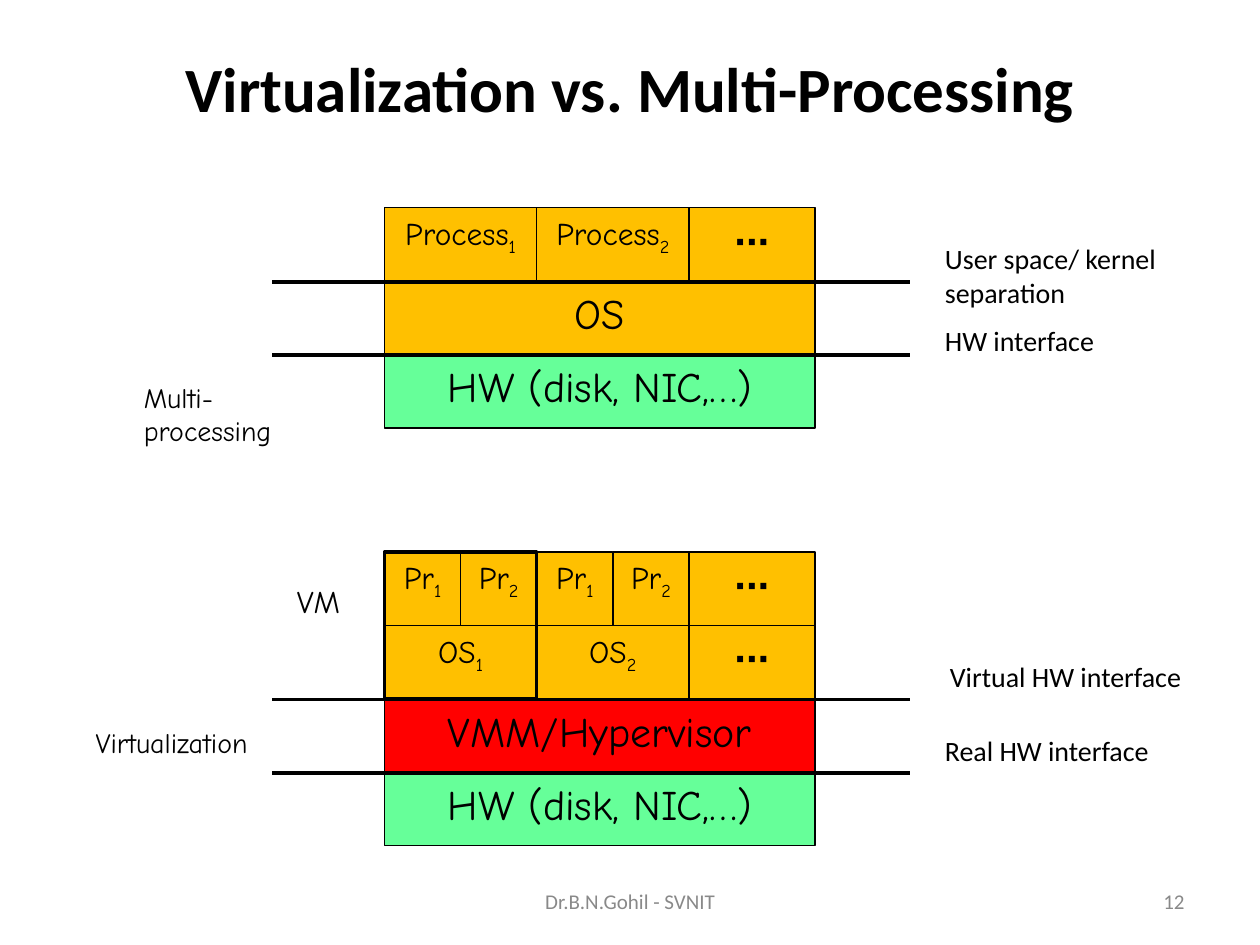
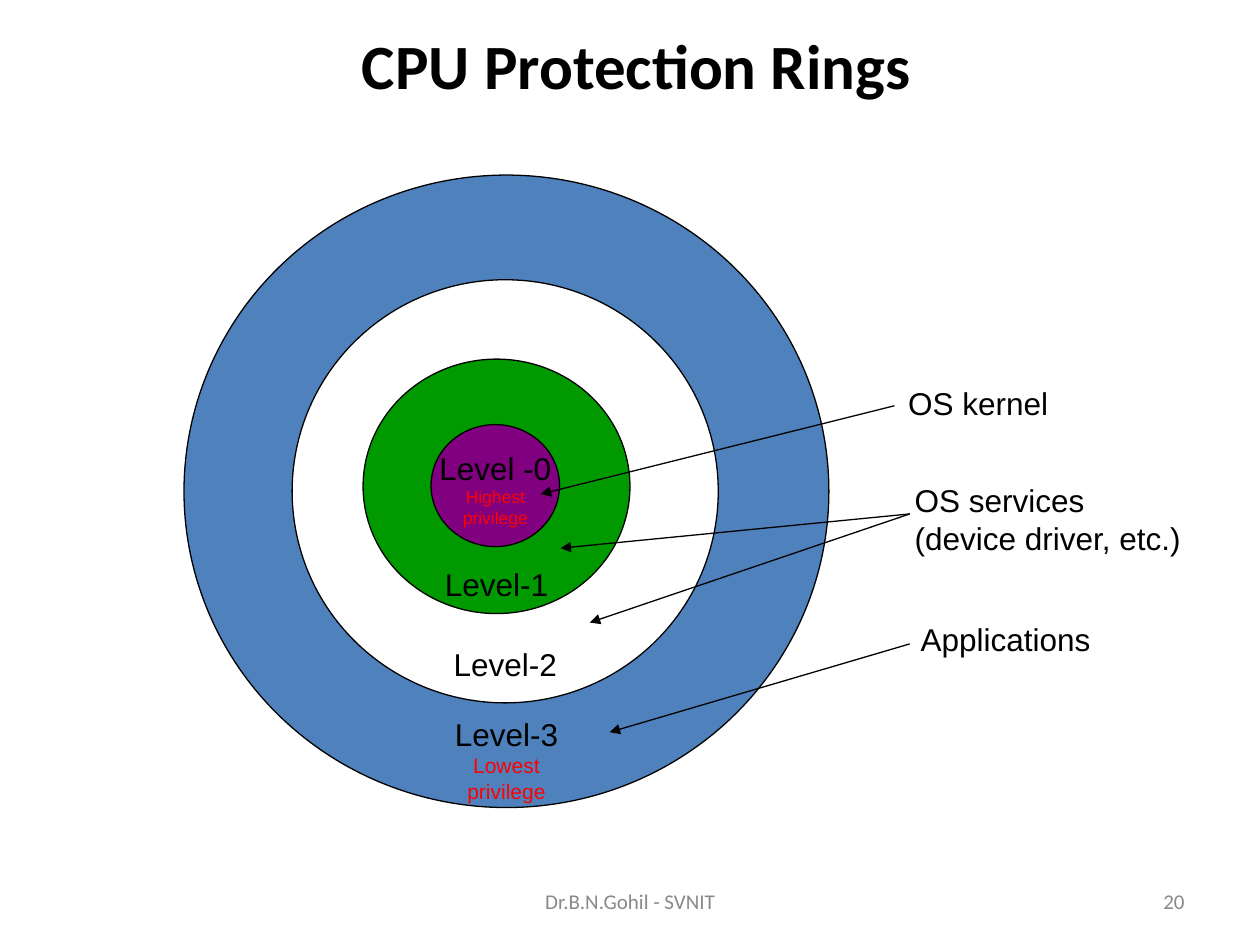
from dataclasses import dataclass

from lxml import etree
from pptx import Presentation
from pptx.dml.color import RGBColor
from pptx.enum.shapes import MSO_CONNECTOR, MSO_SHAPE
from pptx.enum.text import MSO_ANCHOR, MSO_AUTO_SIZE, PP_ALIGN
from pptx.oxml.ns import qn
from pptx.util import Cm, Pt

RECTANGLE, OVAL = MSO_SHAPE.RECTANGLE, MSO_SHAPE.OVAL
STRAIGHT = MSO_CONNECTOR.STRAIGHT
TOP, MIDDLE = MSO_ANCHOR.TOP, MSO_ANCHOR.MIDDLE
LEFT, CENTER, RIGHT = PP_ALIGN.LEFT, PP_ALIGN.CENTER, PP_ALIGN.RIGHT
NO_AUTOFIT = MSO_AUTO_SIZE.NONE


@dataclass(frozen=True)
class TextStyle:
    font: str
    size: float
    color: str = "000000"
    bold: bool = False
    space_before: float = 0
    baseline: int = 0


class Theme:
    BLACK, WHITE = "000000", "FFFFFF"
    SOFTWARE, HARDWARE, HYPERVISOR = "FFC000", "66FF99", "FF0000"
    RING_BLUE, RING_GREEN, RING_PURPLE = "4F81BD", "009900", "800080"
    THIN, THICK = 0.75, 2

    TITLE = TextStyle("Calibri", 36, bold=True)
    FOOTER = TextStyle("Calibri", 12, "898989")
    LAYER = TextStyle("Comic Neue", 24, space_before=6)
    CELL = TextStyle("Comic Neue", 18, space_before=4.5)
    SUBSCRIPT = TextStyle("Comic Neue", 18, space_before=4.5, baseline=-25000)
    DOTS = TextStyle("Arial", 24, bold=True, space_before=6)
    CAPTION = TextStyle("Comic Neue", 16, space_before=4)
    INTERFACE = TextStyle("Calibri", 16, space_before=4)
    RING = TextStyle("Arial", 18)
    LOWEST = TextStyle("Arial", 12, "FF0000")
    HIGHEST = TextStyle("Arial", 10, "FF0000")


def add_block(slide, box, paragraphs=(), kind=None, fill=None, line=Theme.THIN,
              align=CENTER, anchor=TOP, title=False):
    """Place the title, a preset shape or a text box; a paragraph is a list of (text, style) runs."""
    lengths = [Cm(length) for length in box]
    if title:
        shape = slide.shapes.title
        shape.left, shape.top, shape.width, shape.height = lengths
    elif kind is None:
        shape = slide.shapes.add_textbox(*lengths)
    else:
        shape = slide.shapes.add_shape(kind, *lengths)
        shape.shadow.inherit = False
        shape.line.color.rgb = RGBColor.from_string(Theme.BLACK)
        shape.line.width = Pt(line)
        if fill:
            shape.fill.solid()
            shape.fill.fore_color.rgb = RGBColor.from_string(fill)
        else:
            shape.fill.background()
    frame = shape.text_frame
    frame.word_wrap = True
    frame.auto_size = NO_AUTOFIT
    frame.vertical_anchor = anchor
    for index, runs in enumerate(paragraphs):
        paragraph = frame.add_paragraph() if index else frame.paragraphs[0]
        paragraph.alignment = align
        paragraph.space_before = Pt(runs[0][1].space_before)
        for text, style in runs:
            run = paragraph.add_run()
            run.text = text
            run.font.name = style.font
            run.font.size = Pt(style.size)
            run.font.bold = style.bold
            run.font.color.rgb = RGBColor.from_string(style.color)
            if style.baseline:
                run._r.get_or_add_rPr().set("baseline", str(style.baseline))
    return shape


def add_line(slide, start, end, width, arrow=False):
    ends = [Cm(length) for length in (*start, *end)]
    connector = slide.shapes.add_connector(STRAIGHT, *ends)
    connector.line.color.rgb = RGBColor.from_string(Theme.BLACK)
    connector.line.width = Pt(width)
    if arrow:
        etree.SubElement(connector.line._get_or_add_ln(), qn("a:tailEnd"), type="triangle")
    etree.SubElement(connector._element.spPr, qn("a:effectLst"))


presentation = Presentation()
presentation.slide_width, presentation.slide_height = Cm(25.4), Cm(19.05)
title_only = presentation.slide_layouts[5]

# Shared title and footer
slides = []
for title, title_left, title_top, anchor, number in [
    ("Virtualization vs. Multi-Processing", 1.27, 0.76, MIDDLE, "12"),
    ("CPU Protection Rings", 1.4, 0.41, TOP, "20"),
]:
    slide = presentation.slides.add_slide(title_only)
    add_block(slide, (title_left, title_top, 22.86, 2), [[(title, Theme.TITLE)]],
              anchor=anchor, title=True)
    add_block(slide, (18.2, 17.65, 5.93, 1.02), [[(number, Theme.FOOTER)]],
              align=RIGHT, anchor=MIDDLE)
    add_block(slide, (8.68, 17.65, 8.05, 1.02), [[("Dr.B.N.Gohil - SVNIT", Theme.FOOTER)]],
              anchor=MIDDLE)
    slides.append(slide)
stacks_slide, rings_slide = slides

# Layer stacks: each row lists (width, fill, runs)
stack_left, row_height = 7.75, 1.48
full, half, quarter, rest = 8.68, 3.07, 1.535, 2.54
dots = (rest, Theme.SOFTWARE, [("∙∙∙", Theme.DOTS)])
hardware = [(full, Theme.HARDWARE, [("HW (disk, NIC,…)", Theme.LAYER)])]
processes, guest_processes, guest_systems = [
    [(width, Theme.SOFTWARE, [(name, Theme.CELL), (index, Theme.SUBSCRIPT)])
     for index in indexes] + [dots]
    for name, width, indexes in [("Process", half, "12"), ("Pr", quarter, "1212"),
                                 ("OS", half, "12")]
]
operating_system = [(full, Theme.SOFTWARE, [("OS", Theme.LAYER)])]
hypervisor = [(full, Theme.HYPERVISOR, [("VMM/Hypervisor", Theme.LAYER)])]

multiprocessing_top, virtualization_top = 4.19, 11.13
for stack_top, rows in [
    (multiprocessing_top, [processes, operating_system, hardware]),
    (virtualization_top, [guest_processes, guest_systems, hypervisor, hardware]),
]:
    for row_index, row in enumerate(rows):
        left = stack_left
        for width, fill, runs in row:
            add_block(stacks_slide, (left, stack_top + row_index * row_height, width, row_height),
                      [runs], RECTANGLE, fill)
            left += width
    # Interfaces above and below the second layer from the bottom
    for boundary in (len(rows) - 2, len(rows) - 1):
        height = stack_top + boundary * row_height + 0.01
        add_line(stacks_slide, (5.49, height), (18.34, height), Theme.THICK)

# Virtual machine outline
add_block(stacks_slide, (stack_left, virtualization_top, half, 2 * row_height),
          kind=RECTANGLE, line=Theme.THICK)
add_block(stacks_slide, (5.38, 11.61, 2.08, 1.47), [[("VM", Theme.CELL)]])

# Captions beside the stacks
for text, style, left, top, width, height in [
    ("Multi-processing", Theme.CAPTION, 2.65, 7.54, 3.7, 1.85),
    ("Virtualization", Theme.CAPTION, 1.68, 14.5, 4.67, 1.09),
    ("User space/ kernel separation", Theme.INTERFACE, 18.8, 4.75, 5.41, 1.85),
    ("HW interface", Theme.INTERFACE, 18.8, 6.4, 5.41, 1.85),
    ("Virtual HW interface", Theme.INTERFACE, 18.9, 13.18, 6.5, 0.91),
    ("Real HW interface", Theme.INTERFACE, 18.8, 14.66, 5.74, 0.91),
]:
    add_block(stacks_slide, (left, top, width, height), [[(text, style)]], align=LEFT)

# Protection rings from the outside in, each with its label
label_width = 4
for left, top, width, height, fill, label_top, label, privilege, privilege_style in [
    (3.71, 3.53, 13, 12.75, Theme.RING_BLUE, 14.29, "Level-3", "Lowest", Theme.LOWEST),
    (5.89, 5.64, 8.59, 8.53, Theme.WHITE, 12.88, "Level-2", None, None),
    (7.32, 7.24, 5.38, 5.13, Theme.RING_GREEN, 11.27, "Level-1", None, None),
    (8.69, 8.56, 2.59, 2.46, Theme.RING_PURPLE, 8.92, "Level -0", "Highest", Theme.HIGHEST),
]:
    add_block(rings_slide, (left, top, width, height), kind=OVAL, fill=fill)
    paragraphs = [[(label, Theme.RING)]]
    if privilege:
        paragraphs += [[(word, privilege_style)] for word in (privilege, "privilege")]
    add_block(rings_slide, (left + (width - label_width) / 2, label_top, label_width, 2),
              paragraphs)

# What runs in each ring, with arrows to the rings
for lines, left, top, height, start, targets in [
    (["OS kernel"], 18.06, 7.62, 1.02, (18.03, 8.18), [(10.9, 9.96)]),
    (["OS services", "(device driver, etc.)"], 18.19, 9.58, 1.78, (18.34, 10.36),
     [(11.3, 11.05), (11.89, 12.55)]),
    (["Applications"], 18.31, 12.37, 1.02, (18.34, 12.98), [(12.29, 14.76)]),
]:
    add_block(rings_slide, (left, top, 6.5, height),
              [[(text, Theme.RING)] for text in lines], align=LEFT)
    for target in targets:
        add_line(rings_slide, start, target, Theme.THIN, arrow=True)

presentation.save("out.pptx")
